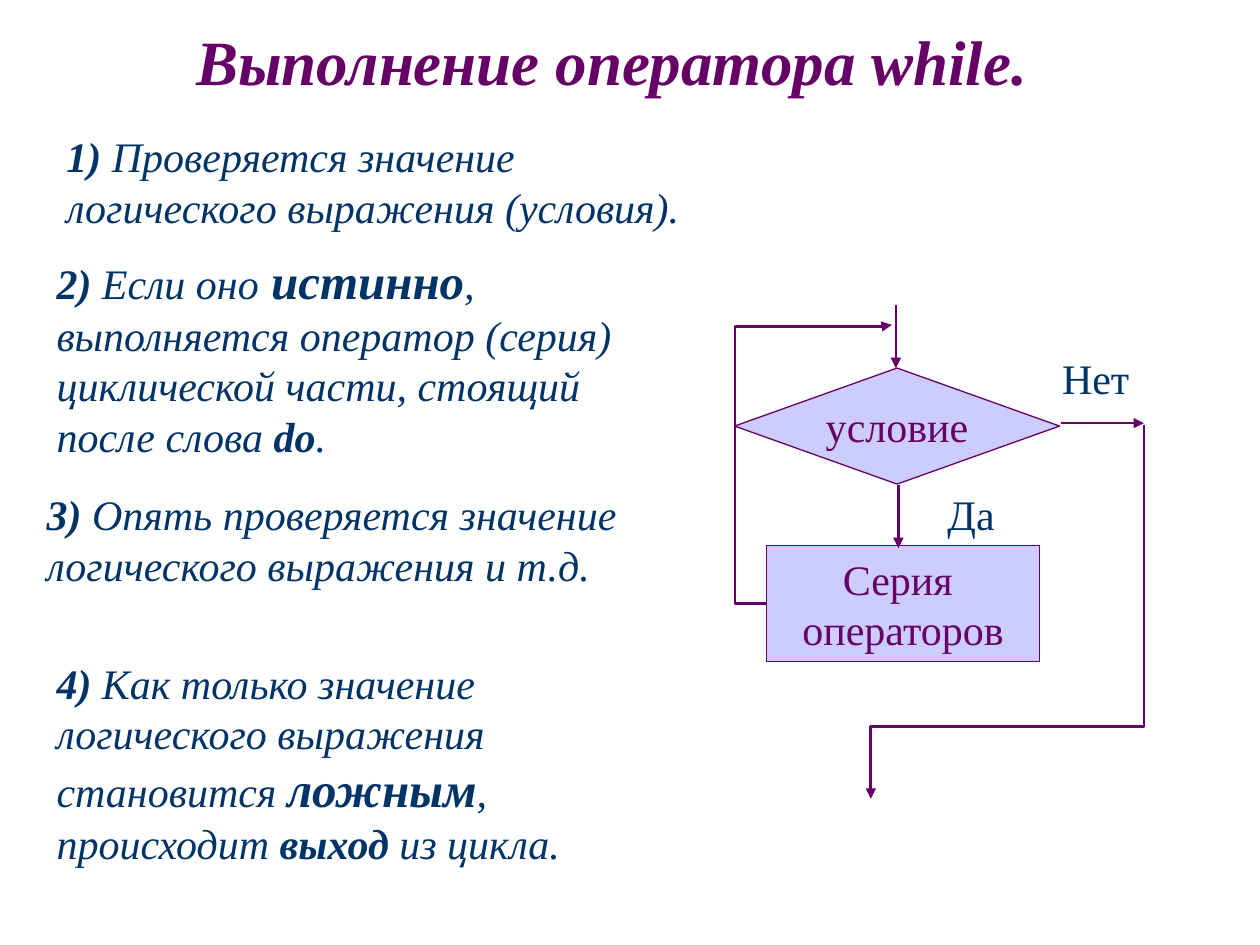
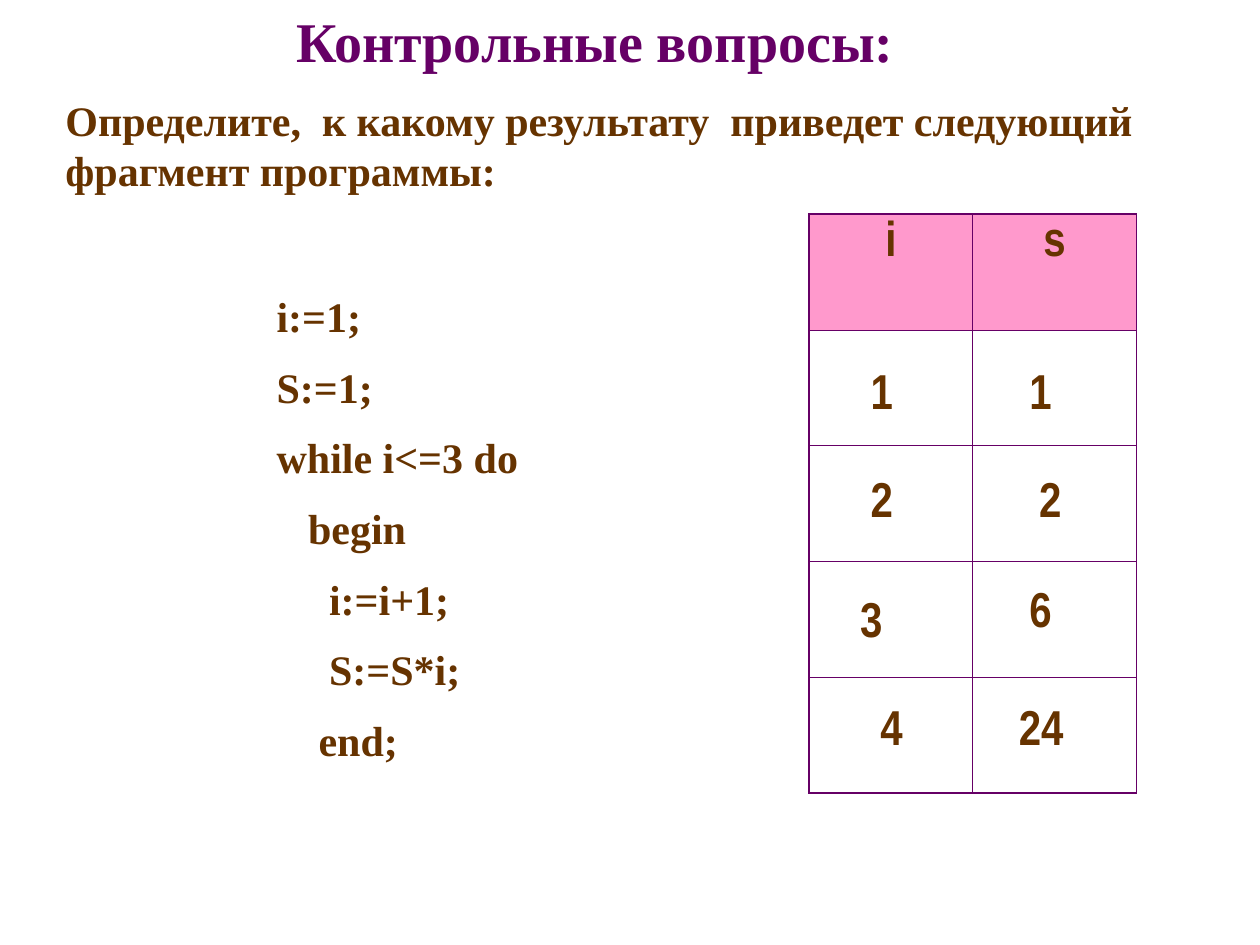
from pptx import Presentation
from pptx.dml.color import RGBColor
from pptx.enum import shapes as sh, text as tx
from pptx.oxml.ns import qn
from pptx.util import Cm, Pt
from lxml import etree

# Shared look
PURPLE, NAVY, BROWN = "660066", "003366", "663300"
LILAC, PINK = "CCCCFF", "FF99CC"
SERIF, NARROW = "Times New Roman", "Arial Narrow"
TITLE_ONLY, TITLE_AND_BODY = 5, 1


def colour(hex_code):
    return RGBColor.from_string(hex_code)


def cm(*lengths):
    return [Cm(length) for length in lengths]


def add_xml(parent, tag, **attributes):
    return etree.SubElement(parent, qn(tag), attributes)


def add_run(paragraph, words, size, hex_code, font=SERIF, bold=False, italic=False):
    run = paragraph.add_run()
    run.text = words
    run.font.name, run.font.size = font, Pt(size)
    run.font.bold, run.font.italic = bold, italic
    run.font.color.rgb = colour(hex_code)


def add_label(slide, box):
    """Add a wrapping text box and return its first paragraph."""
    frame = slide.shapes.add_textbox(*cm(*box)).text_frame
    frame.word_wrap = True
    return frame.paragraphs[0]


def place(placeholder, box):
    """Move a placeholder and start its text at the top of the box."""
    placeholder.left, placeholder.top, placeholder.width, placeholder.height = cm(*box)
    frame = placeholder.text_frame
    frame.auto_size = tx.MSO_AUTO_SIZE.NONE
    frame.vertical_anchor = tx.MSO_ANCHOR.TOP
    frame.word_wrap = True
    return frame


def add_title(slide, box, words, size, italic=False):
    paragraph = place(slide.shapes.title, box).paragraphs[0]
    paragraph.alignment = tx.PP_ALIGN.LEFT
    add_run(paragraph, words, size, PURPLE, bold=True, italic=italic)


# Steps of the loop: each run is (words, size, bold)
STEPS = [
    ((1.09, 2.51, 13.21, 2.29),
     [("1)", 24, True),
      (" Проверяется значение логического выражения (условия).", 24, False)]),
    ((0.89, 4.93, 12.6, 4.5),
     [("2)", 24, True), (" Если оно", 24, False), (" истинно", 28, True),
      (", выполняется оператор (серия) циклической части, стоящий после слова ", 24, False),
      ("do", 24, True), (".", 24, False)]),
    ((0.69, 9.73, 12.8, 2.29),
     [("3)", 24, True),
      (" Опять проверяется значение логического выражения и т.д.", 24, False)]),
    ((0.89, 13.13, 13, 4.5),
     [("4)", 24, True),
      (" Как только значение логического выражения становится ", 24, False),
      ("ложным", 28, True), (", происходит ", 24, False),
      ("выход", 24, True), (" из цикла.", 24, False)]),
]


def add_steps(slide):
    for box, runs in STEPS:
        paragraph = add_label(slide, box)
        for words, size, bold in runs:
            add_run(paragraph, words, size, NAVY, bold=bold, italic=True)


# Flowchart parts
def add_block(slide, kind, box, lines):
    block = slide.shapes.add_shape(kind, *cm(*box))
    block.shadow.inherit = False
    block.fill.solid()
    block.fill.fore_color.rgb = colour(LILAC)
    block.line.color.rgb = colour(PURPLE)
    block.line.width = Pt(0.75)
    frame = block.text_frame
    frame.word_wrap = False
    frame.vertical_anchor = tx.MSO_ANCHOR.MIDDLE
    for index, words in enumerate(lines):
        paragraph = frame.add_paragraph() if index else frame.paragraphs[0]
        paragraph.alignment = tx.PP_ALIGN.CENTER
        add_run(paragraph, words, 24, PURPLE)


def add_arrow(slide, start, end, bends=(), arrow_end="a:tailEnd", turn=0):
    """Draw an arrow; bends are the elbow adjustments as fractions."""
    kind = sh.MSO_CONNECTOR.ELBOW if bends else sh.MSO_CONNECTOR.STRAIGHT
    arrow = slide.shapes.add_connector(kind, *cm(*start, *end))
    arrow.line.color.rgb = colour(PURPLE)
    arrow.line.width = Pt(1.5)
    properties = arrow.element.spPr
    add_xml(properties.find(qn("a:ln")), arrow_end, type="triangle")
    add_xml(properties, "a:effectLst")
    if turn:
        properties.find(qn("a:xfrm")).set("rot", str(turn * 60000))
    if bends:
        geometry = properties.find(qn("a:prstGeom"))
        geometry.set("prst", f"bentConnector{len(bends) + 2}")
        for child in list(geometry):
            geometry.remove(child)
        guides = add_xml(geometry, "a:avLst")
        for number, bend in enumerate(bends, 1):
            add_xml(guides, "a:gd", name=f"adj{number}", fmla=f"val {round(bend * 100000)}")


def add_flowchart(slide, left, top):
    def at(x, y):
        return left + x, top + y

    add_block(slide, sh.MSO_SHAPE.FLOWCHART_DECISION, (*at(0, 1.27), 6.55, 2.34), ["условие"])
    add_block(slide, sh.MSO_SHAPE.FLOWCHART_PROCESS, (*at(0.64, 4.85), 5.51, 2.34),
              ["Серия ", "операторов"])
    # Way back to the condition
    add_arrow(slide, at(0.64, 6.02), at(3.17, 0.4), bends=(-0.25, 0.995))
    # Entry, "yes" and "no" branches
    add_arrow(slide, at(3.25, 0), at(3.25, 1.27))
    add_arrow(slide, at(3.3, 3.63), at(3.3, 4.9))
    add_arrow(slide, at(6.58, 2.38), at(8.25, 2.38))
    for words, x, y in (("Да", 4.04, 3.58), ("Нет", 6.35, 0.84)):
        add_run(add_label(slide, (*at(x, y), 2.54, 1.27)), words, 24, NAVY)
    # Exit from the loop, turned a quarter
    add_arrow(slide, at(9.27, 8.94), at(1.73, 3.43), bends=(0.194,),
              arrow_end="a:headEnd", turn=90)


# Program fragment: (indent in points, line)
CODE = [(6, "i:=1;"), (6, "S:=1;"), (6, "while i<=3 do"), (24, "begin"),
        (36, "i:=i+1;"), (36, "S:=S*i;"), (30, "end;")]


def add_code(slide, box):
    frame = place(slide.placeholders[1], box)
    for index, (indent, words) in enumerate(CODE):
        paragraph = frame.add_paragraph() if index else frame.paragraphs[0]
        paragraph.line_spacing = 1.4
        paragraph.space_before = Pt(0)
        properties = paragraph._p.get_or_add_pPr()
        properties.set("marL", str(Pt(indent)))
        properties.set("indent", "0")
        add_xml(properties, "a:buNone")
        add_run(paragraph, words, 24, BROWN, bold=True)


# Trace table
TRACE = [  # value, left and top within the table
    ("1", 0.99, 2.82), ("1", 4.19, 2.82),
    ("2", 0.99, 5), ("2", 4.39, 5),
    ("3", 0.78, 7.41), ("6", 4.19, 7.21),
    ("4", 1.19, 9.6), ("24", 3.98, 9.6),
]


def set_borders(cell, outer):
    """Draw four borders; the sides named in outer are thicker."""
    properties = cell._tc.get_or_add_tcPr()
    for index, side in enumerate("LRTB"):
        width = Pt(1.08 if side in outer else 0.45)
        border = etree.Element(qn(f"a:ln{side}"), w=str(width))
        add_xml(add_xml(border, "a:solidFill"), "a:srgbClr", val=PURPLE)
        properties.insert(index, border)


def add_trace(slide, left, top, width, height):
    rows, columns = 5, 2
    table = slide.shapes.add_table(rows, columns, *cm(left, top, width, height)).table
    table.first_row = table.horz_banding = False
    for r in range(rows):
        for c in range(columns):
            cell = table.cell(r, c)
            if r == 0:
                cell.fill.solid()
                cell.fill.fore_color.rgb = colour(PINK)
                heading = cell.text_frame.paragraphs[0]
                heading.alignment = tx.PP_ALIGN.CENTER
                add_run(heading, "is"[c], 28, BROWN, NARROW, bold=True)
            else:
                cell.fill.background()
            outer = "LR"[c] + ("T" if r == 0 else "B" if r == rows - 1 else "")
            set_borders(cell, outer)
    for value, x, y in TRACE:
        box = (left + x, top + y, 1.2 if len(value) == 1 else 1.6, 1.45)
        add_run(add_label(slide, box), value, 28, BROWN, NARROW, bold=True)


# Slides
def build_while_slide(deck):
    slide = deck.slides.add_slide(deck.slide_layouts[TITLE_ONLY])
    add_title(slide, (3.7, 0.33, 17.32, 1.78), "Выполнение оператора while.", 36, italic=True)
    add_steps(slide)
    add_flowchart(slide, 14.81, 6.15)


def build_question_slide(deck):
    slide = deck.slides.add_slide(deck.slide_layouts[TITLE_AND_BODY])
    add_title(slide, (5.72, 0, 12.62, 1.63), "Контрольные вопросы:", 32)
    question = add_label(slide, (1.07, 1.78, 23.24, 2.34))
    add_run(question,
            "Определите,  к какому результату  приведет следующий фрагмент программы:",
            24, BROWN, bold=True)
    add_code(slide, (5.11, 5.33, 10.21, 10.21))
    add_trace(slide, 16.31, 4.32, 6.6, 11.66)


def main():
    deck = Presentation()
    deck.slide_width, deck.slide_height = cm(25.4, 19.05)
    build_while_slide(deck)
    build_question_slide(deck)
    deck.save("out.pptx")


if __name__ == "__main__":
    main()
